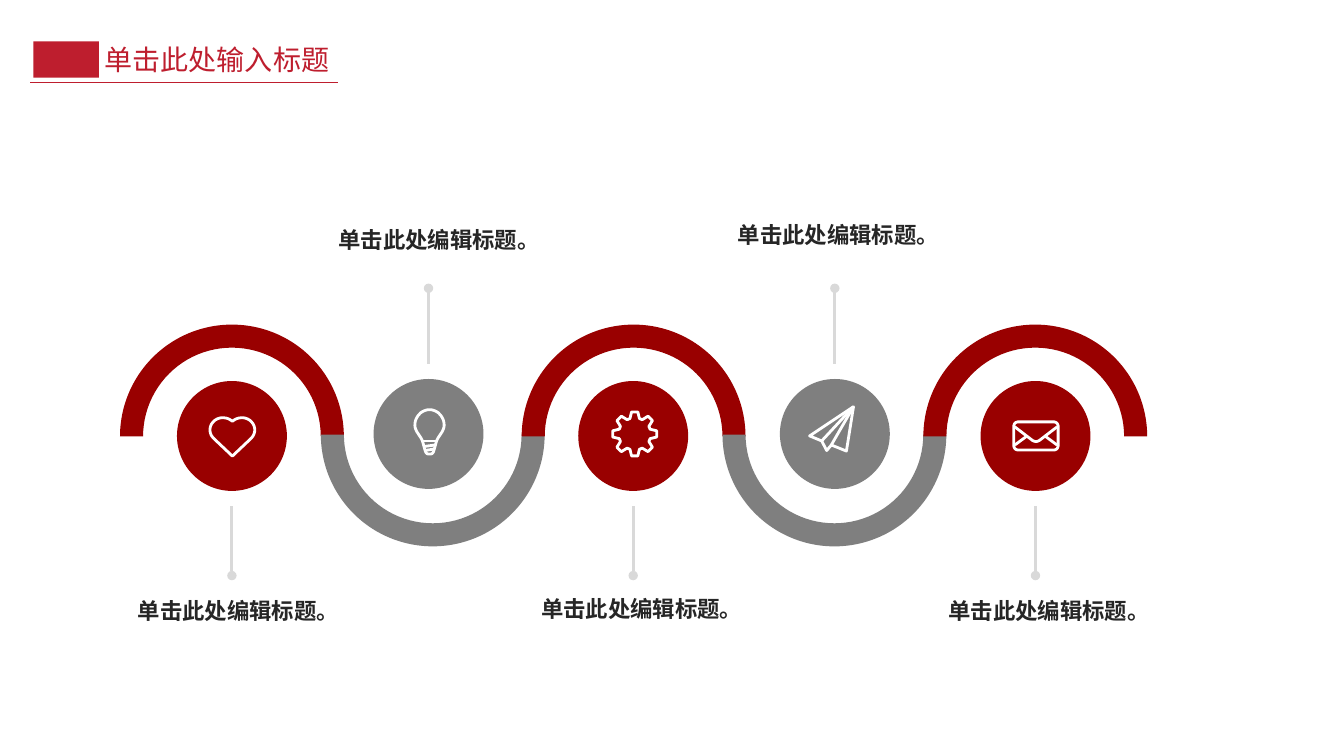
from dataclasses import dataclass
from math import cos, radians, sin

from lxml import etree
from pptx import Presentation
from pptx.dml.color import RGBColor
from pptx.enum.shapes import MSO_CONNECTOR, MSO_SHAPE
from pptx.enum.text import MSO_AUTO_SIZE
from pptx.oxml.ns import qn
from pptx.util import Inches, Pt

BLOCK_ARC, DISC, RECTANGLE = MSO_SHAPE.BLOCK_ARC, MSO_SHAPE.OVAL, MSO_SHAPE.RECTANGLE
STRAIGHT = MSO_CONNECTOR.STRAIGHT
FIT_SHAPE = MSO_AUTO_SIZE.SHAPE_TO_FIT_TEXT


@dataclass(frozen=True)
class Theme:
    font: str = "Noto Sans CJK SC"
    accent: str = "BE1E2E"
    red: str = "990000"
    gray: str = "7F7F7F"
    stem: str = "D9D9D9"
    ink: str = "262626"
    icon: str = "FFFFFF"
    title_size: float = 20
    caption_size: float = 16
    stem_width: float = 2.25
    icon_width: float = 2
    rule_width: float = 1


def cells(count):
    """Length of grid columns or rows; a cell is a tenth of an inch."""
    return Inches(count / 10)


def write(box, text, *, font, size, color, bold=False):
    para = box.text_frame.paragraphs[0]
    span = para.add_run()
    span.text = text
    span.font.name = font
    span.font.size = Pt(size)
    span.font.bold = bold
    span.font.color.rgb = RGBColor.from_string(color)
    east_asian = etree.SubElement(span.font._element, qn("a:ea"))
    east_asian.set("typeface", font)


class SlideBuilder:
    def __init__(self, page, theme):
        self.page = page
        self.theme = theme

    def shape(self, kind, left, top, width, height, color):
        shape = self.page.shapes.add_shape(
            kind, cells(left), cells(top), cells(width), cells(height))
        shape.shadow.inherit = False
        shape.fill.solid()
        shape.fill.fore_color.rgb = RGBColor.from_string(color)
        shape.line.fill.background()
        return shape

    def arc(self, left, top, size, color, below):
        arc = self.shape(BLOCK_ARC, left, top, size, size, color)
        for index, value in enumerate((108, 215.95, 0.103)):
            arc.adjustments[index] = value
        arc.rotation = 180 if below else 0

    def line(self, start, end, color, width, dot=False):
        line = self.page.shapes.add_connector(
            STRAIGHT, *(cells(value) for value in (*start, *end)))
        line.line.color.rgb = RGBColor.from_string(color)
        line.line.width = Pt(width)
        if dot:
            etree.SubElement(line.line._get_or_add_ln(), qn("a:headEnd")).set("type", "oval")
        etree.SubElement(line._element.spPr, qn("a:effectLst"))

    def text(self, text, left, top, width, height, wrap=True, **style):
        box = self.page.shapes.add_textbox(
            cells(left), cells(top), cells(width), cells(height))
        box.text_frame.word_wrap = wrap
        box.text_frame.auto_size = FIT_SHAPE
        write(box, text, font=self.theme.font, **style)

    def icon(self, center, strokes):
        """Draw (points, closed) strokes, in hundredths of an inch from center."""
        builder = None
        for points, closed in strokes:
            start, *rest = [(x * 10, y * 10) for x, y in points]
            if builder is None:
                builder = self.page.shapes.build_freeform(*start, scale=914.4)
            else:
                builder.move_to(*start)
            builder.add_line_segments(rest, close=closed)
        icon = builder.convert_to_shape(*(cells(value) for value in center))
        icon.shadow.inherit = False
        icon.fill.background()
        icon.line.color.rgb = RGBColor.from_string(self.theme.icon)
        icon.line.width = Pt(self.theme.icon_width)
        etree.SubElement(icon.line._get_or_add_ln(), qn("a:round"))


# Icon outlines
def curve(*controls, steps=12):
    """Points along a cubic Bezier curve."""
    points = []
    for step in range(steps + 1):
        t = step / steps
        weights = ((1 - t) ** 3, 3 * t * (1 - t) ** 2, 3 * t * t * (1 - t), t ** 3)
        points.append(tuple(sum(weight * control[axis] for weight, control
                                in zip(weights, controls)) for axis in (0, 1)))
    return points


def mirrored(half):
    """Complete an outline whose right half runs between two points on the axis."""
    return half + [(-x, y) for x, y in reversed(half[1:-1])]


def heart():
    half = ([(0, 19)]
            + curve((18.5, 1.5), (23.5, -3.5), (23.5, -10.5), (18.5, -15.5))
            + curve((18.5, -15.5), (13.5, -20.5), (5, -20), (0, -15.5)))
    return [(mirrored(half), True)]


def bulb():
    half = (curve((0, -22), (8, -22), (14.5, -15), (14.5, -6.5))
            + curve((14.5, -6.5), (14.5, -1), (9, 4), (7, 9))
            + curve((4.5, 18), (3.5, 21.5), (2.5, 22), (0, 22)))
    return [(mirrored(half), True), ([(-7, 9), (7, 9)], False),
            ([(-5.5, 14.5), (5.5, 13)], False), ([(-4.5, 18.5), (4.5, 17)], False)]


def gear():
    tooth = ((-8, 22), (8, 22), (17, 16), (28, 16))
    points = [(radius * sin(radians(turn + angle)), -radius * cos(radians(turn + angle)))
              for turn in range(0, 360, 45) for angle, radius in tooth]
    return [(points, True)]


def plane():
    tip, fold, notch = (22, -22), (-9.5, 12), (0, 16)
    outline = [tip, (-21.5, 7), fold, (-4.5, 21.5), notch, (15, 22)]
    return [(outline, True), ([fold, tip], False), ([notch, tip], False)]


def envelope():
    half = ([(0, -14)] + curve((17.5, -14), (20, -14), (22, -12), (22, -9.5))
            + curve((22, 9.5), (22, 12), (20, 14), (17.5, 14)) + [(0, 14)])
    flap = [(-21, -9)] + curve((-4, 4), (-1.5, 6), (1.5, 6), (4, 4)) + [(21, -9)]
    return [(mirrored(half), True), (flap, False),
            ([(-21, 9), (-9.5, 0.5)], False), ([(21, 9), (9.5, 0.5)], False)]


# Disc center column, caption corner, icon center and icon of each stage
STAGES = (
    (23, (12.7, 58.8), (23.05, 43.35), heart),
    (42.5, (32.6, 21.9), (42.6, 42.85), bulb),
    (62.8, (52.7, 58.6), (62.95, 43.05), gear),
    (82.8, (72.2, 21.4), (82.45, 42.55), plane),
    (102.7, (93.1, 58.8), (102.75, 43.25), envelope),
)
ARC_LEFT, ARC_PITCH, ARC_SIZE, DISC_SIZE = 11.9, 19.92, 22.2, 10.9


def main():
    deck = Presentation()
    deck.slide_width, deck.slide_height = Inches(13.33), Inches(7.5)
    page = deck.slides.add_slide(deck.slide_layouts[6])
    theme = Theme()
    builder = SlideBuilder(page, theme)

    # Wave of stages
    for index, (column, caption, icon_center, icon) in enumerate(STAGES):
        below = index % 2 == 1
        color = theme.gray if below else theme.red
        arc_top = 32 if below else 32.2
        stem_start, stem_end = (28.6, 36.1) if below else (57.1, 50.2)
        builder.arc(ARC_LEFT + index * ARC_PITCH, arc_top, ARC_SIZE, color, below)
        builder.shape(DISC, column - DISC_SIZE / 2, arc_top + 5.6,
                      DISC_SIZE, DISC_SIZE, color)
        builder.line((column, stem_start), (column, stem_end),
                     theme.stem, theme.stem_width, dot=True)
        builder.text("单击此处编辑标题。", *caption, 28.4, 3.7,
                     size=theme.caption_size, color=theme.ink, bold=True)
        builder.icon(icon_center, icon())

    # Slide title
    builder.line((3, 8.2), (33.5, 8.2), theme.accent, theme.rule_width)
    builder.shape(RECTANGLE, 3.3, 4.1, 6.5, 3.6, theme.accent)
    builder.text("单击此处输入标题", 9.4, 3.7, 24.5, 4.4, wrap=False,
                 size=theme.title_size, color=theme.accent)

    deck.save("out.pptx")


if __name__ == "__main__":
    main()
